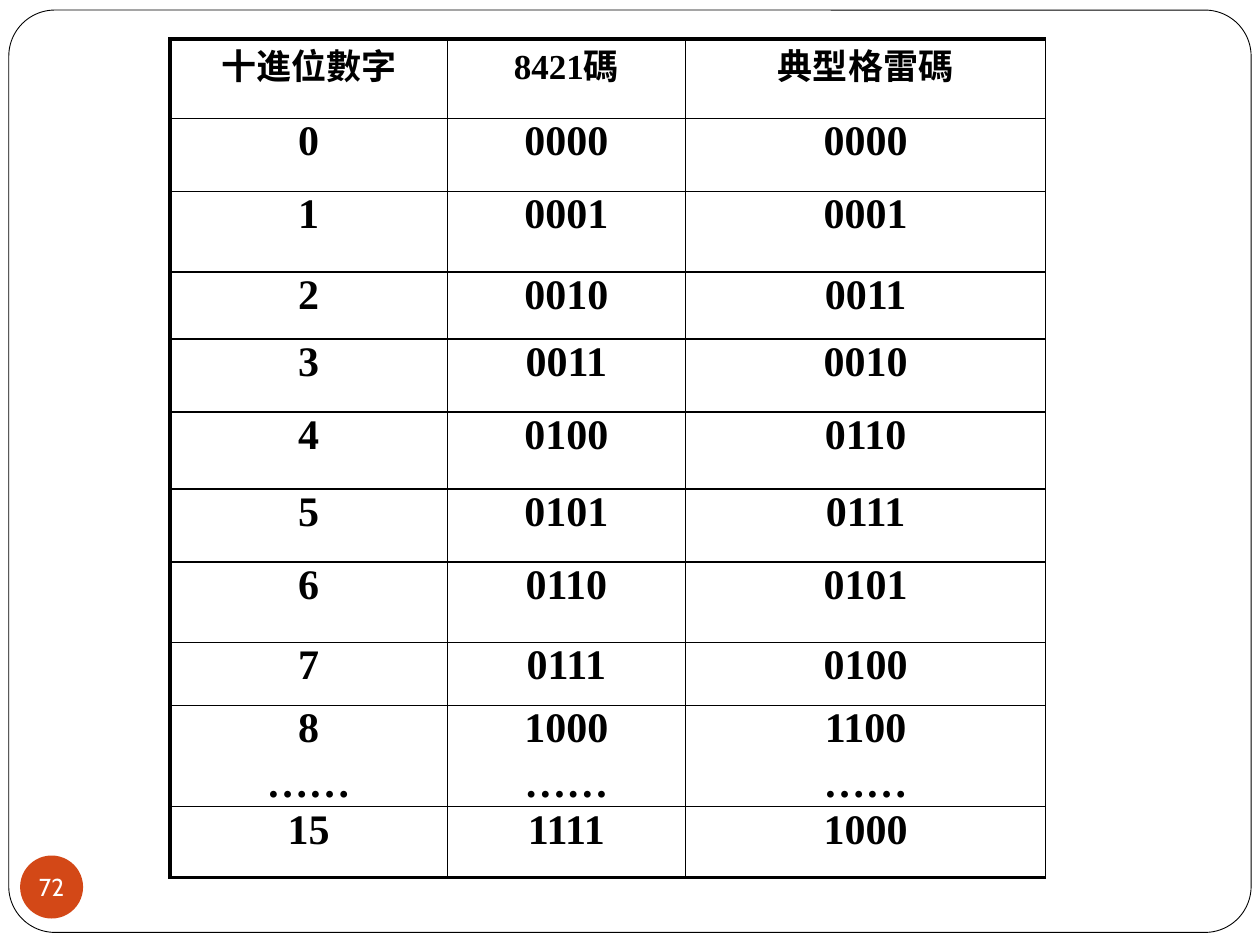
import pptx
import pptx.dml.color
import pptx.enum.shapes
import pptx.enum.text
import pptx.oxml
import pptx.oxml.ns
import pptx.util
from pptx.util import Inches

# Content
HEADERS = ("十進位數字", "8421碼", "典型格雷碼")
CODES = [
    ("0", "0000", "0000"),
    ("1", "0001", "0001"),
    ("2", "0010", "0011"),
    ("3", "0011", "0010"),
    ("4", "0100", "0110"),
    ("5", "0101", "0111"),
    ("6", "0110", "0101"),
    ("7", "0111", "0100"),
    ("8\n……", "1000\n……", "1100\n……"),
    ("15", "1111", "1000"),
]
PAGE_NUMBER = "72"

# Layout and style
COLUMN_WIDTHS = (2.2, 1.89, 2.86)
ROW_HEIGHTS = (0.63, 0.58, 0.64, 0.53, 0.58, 0.61, 0.58, 0.64, 0.5, 0.8, 0.56)
TABLE_LEFT, TABLE_TOP = 1.35, 0.31
BLACK, WHITE, ORANGE = "000000", "FFFFFF", "D34817"
THICK, THIN = 2.25, 1


def color(hex_string):
    return pptx.dml.color.RGBColor.from_string(hex_string)


def style_text(paragraph, font_name, size, hex_string, bold=False):
    paragraph.alignment = pptx.enum.text.PP_ALIGN.CENTER
    for run in paragraph.runs:
        run.font.name = font_name
        run.font.size = pptx.util.Pt(size)
        run.font.bold = bold
        run.font.color.rgb = color(hex_string)


def add_filled_shape(slide, kind, box, fill):
    shape = slide.shapes.add_shape(kind, *map(Inches, box))
    shape.shadow.inherit = False
    shape.fill.solid()
    shape.fill.fore_color.rgb = color(fill)
    return shape


def set_borders(cell, widths):
    properties = cell._tc.get_or_add_tcPr()
    for index, (side, width) in enumerate(widths.items()):
        border = pptx.oxml.parse_xml(
            f'<a:{side} {pptx.oxml.ns.nsdecls("a")} w="{pptx.util.Pt(width)}">'
            f'<a:solidFill><a:srgbClr val="{BLACK}"/></a:solidFill></a:{side}>')
        properties.insert(index, border)


def add_code_table(slide):
    rows = [HEADERS] + CODES
    table = slide.shapes.add_table(
        len(rows), len(HEADERS), Inches(TABLE_LEFT), Inches(TABLE_TOP),
        Inches(sum(COLUMN_WIDTHS)), Inches(sum(ROW_HEIGHTS))).table
    table.first_row = table.horz_banding = False
    for column, width in zip(table.columns, COLUMN_WIDTHS):
        column.width = Inches(width)
    for row, height in zip(table.rows, ROW_HEIGHTS):
        row.height = Inches(height)

    last_row = len(rows) - 1
    for row_index, texts in enumerate(rows):
        for column_index, text in enumerate(texts):
            cell = table.cell(row_index, column_index)
            cell.text_frame.text = text
            cell.margin_left = cell.margin_right = Inches(0.1)
            cell.margin_top = cell.margin_bottom = 0
            cell.fill.background()
            for paragraph in cell.text_frame.paragraphs:
                style_text(paragraph, "Times New Roman",
                           24 if row_index else 20, BLACK, bold=True)
            for paragraph in cell.text_frame.paragraphs[1:]:
                paragraph.space_before = pptx.util.Pt(4.8)
            set_borders(cell, {
                "lnL": THIN if column_index else THICK,
                "lnR": THIN,
                "lnT": THIN if row_index else THICK,
                "lnB": THICK if row_index == last_row else THIN,
            })


def main():
    presentation = pptx.Presentation()
    presentation.slide_width = Inches(10)
    presentation.slide_height = Inches(7.5)
    slide = presentation.slides.add_slide(presentation.slide_layouts[6])
    shapes = pptx.enum.shapes.MSO_SHAPE

    # Rounded frame
    frame = add_filled_shape(slide, shapes.ROUNDED_RECTANGLE,
                             (0.07, 0.08, 9.86, 7.32), WHITE)
    frame.adjustments[0] = 0.05
    frame.line.color.rgb = color(BLACK)
    frame.line.width = pptx.util.Pt(0.5)

    # Page number badge
    badge = add_filled_shape(slide, shapes.OVAL, (0.16, 6.79, 0.5, 0.5), ORANGE)
    badge.line.fill.background()
    text_frame = badge.text_frame
    text_frame.text = PAGE_NUMBER
    text_frame.word_wrap = False
    text_frame.vertical_anchor = pptx.enum.text.MSO_ANCHOR.MIDDLE
    text_frame.margin_left = text_frame.margin_right = 0
    text_frame.margin_top = text_frame.margin_bottom = 0
    style_text(text_frame.paragraphs[0], "Cabin", 14, WHITE)

    # Comparison of decimal, 8421 and Gray codes
    add_code_table(slide)
    presentation.save("out.pptx")


if __name__ == "__main__":
    main()
